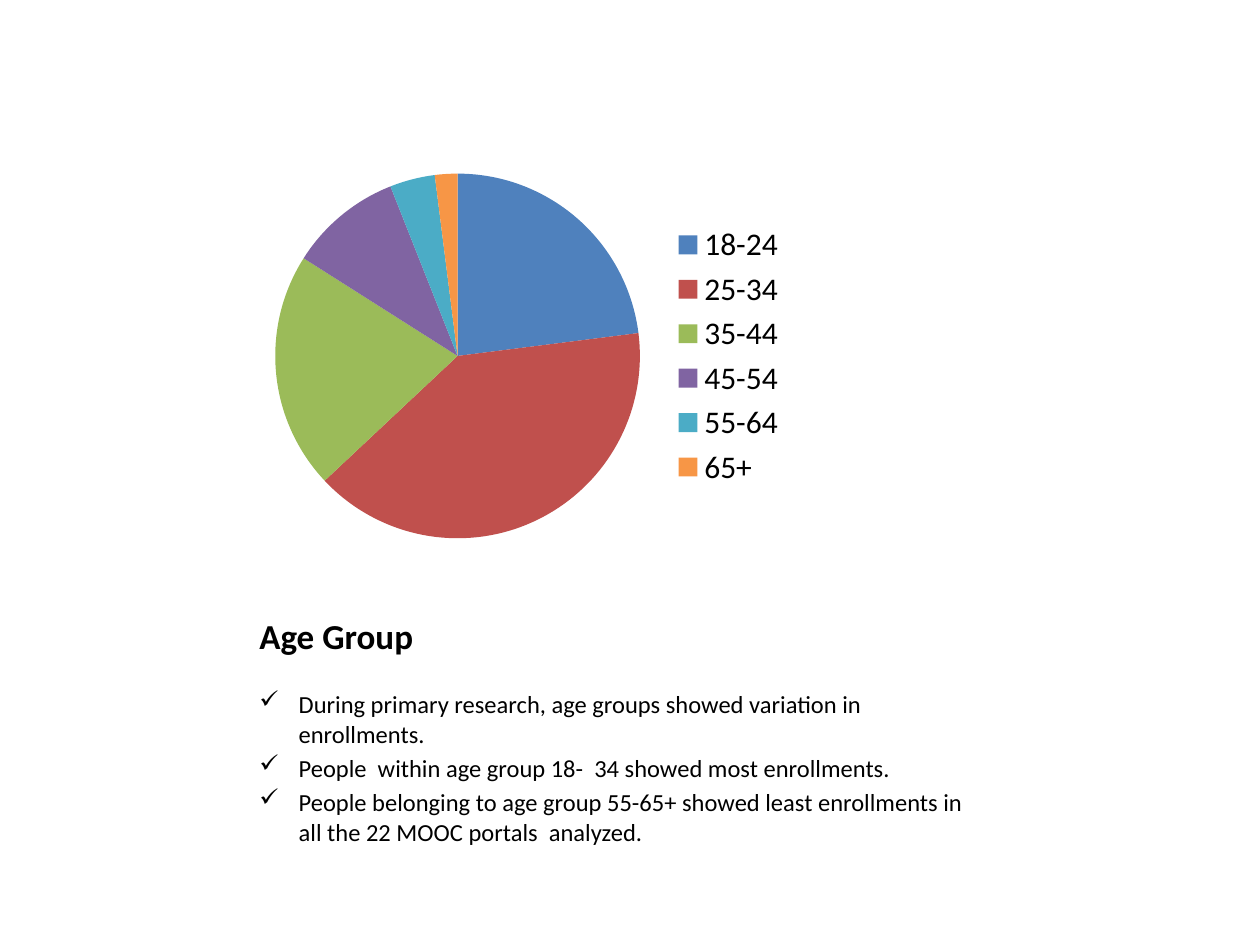
import pptx
import pptx.chart.data
import pptx.dml.color
import pptx.enum.chart
import pptx.enum.text
import pptx.oxml
import pptx.oxml.ns
import pptx.util
from collections import namedtuple
from dataclasses import dataclass

Pt = pptx.util.Pt
Box = namedtuple("Box", "left top width height")


@dataclass(frozen=True)
class Theme:
    font: str = "Calibri"
    text: str = "000000"
    background: str = "FFFFFF"
    slices: tuple = ("4F81BD", "C0504D", "9BBB59", "8064A2", "4BACC6", "F79646")
    title_size: int = 20
    body_size: int = 14
    legend_size: int = 18
    bullet_indent: float = 22.5


THEME = Theme()
AGE_SHARES = {"18-24": 23, "25-34": 40, "35-44": 21, "45-54": 10, "55-64": 4, "65+": 2}
FINDINGS = (
    "During primary research, age groups showed variation in enrollments.",
    "People  within age group 18-  34 showed most enrollments.",
    "People belonging to age group 55-65+ showed least enrollments in all the 22 MOOC portals  analyzed.",
)


def paint(fill, color):
    fill.solid()
    fill.fore_color.rgb = pptx.dml.color.RGBColor.from_string(color)


def style_font(font, size, bold=False):
    font.name = THEME.font
    font.size = Pt(size)
    font.bold = bold
    font.color.rgb = pptx.dml.color.RGBColor.from_string(THEME.text)


def add_text_frame(slide, box, anchor):
    frame = slide.shapes.add_textbox(*map(Pt, box)).text_frame
    frame.word_wrap = True
    frame.vertical_anchor = anchor
    return frame


def add_age_chart(slide, box):
    data = pptx.chart.data.CategoryChartData()
    data.categories = list(AGE_SHARES)
    data.add_series("Series 1", list(AGE_SHARES.values()))
    chart = slide.shapes.add_chart(
        pptx.enum.chart.XL_CHART_TYPE.PIE, *map(Pt, box), data
    ).chart
    style_font(chart.font, THEME.legend_size)
    chart.has_title = False
    chart.has_legend = True
    chart.legend.position = pptx.enum.chart.XL_LEGEND_POSITION.RIGHT
    chart.legend.include_in_layout = False
    plot = chart.plots[0]
    plot.vary_by_categories = True
    for index, color in enumerate(THEME.slices):
        paint(plot.series[0].points[index].format.fill, color)


def add_title(slide, box):
    frame = add_text_frame(slide, box, pptx.enum.text.MSO_ANCHOR.BOTTOM)
    paragraph = frame.paragraphs[0]
    paragraph.text = "Age Group"
    style_font(paragraph.font, THEME.title_size, bold=True)


def add_check_bullet(paragraph):
    properties = paragraph._p.get_or_add_pPr()
    properties.set("marL", str(Pt(THEME.bullet_indent)))
    properties.set("indent", str(-Pt(THEME.bullet_indent)))
    bullet = pptx.oxml.parse_xml(
        f'<a:buChar {pptx.oxml.ns.nsdecls("a")} char="\u2713"/>'
    )
    properties.insert_element_before(bullet, "a:tabLst", "a:defRPr", "a:extLst")


def add_findings(slide, box):
    frame = add_text_frame(slide, box, pptx.enum.text.MSO_ANCHOR.TOP)
    for index, finding in enumerate(FINDINGS):
        paragraph = frame.add_paragraph() if index else frame.paragraphs[0]
        paragraph.text = finding
        paragraph.space_before = Pt(0.2 * THEME.body_size)
        style_font(paragraph.font, THEME.body_size)
        add_check_bullet(paragraph)


def build_chart_slide(presentation, box):
    slide = presentation.slides.add_slide(presentation.slide_layouts[6])
    paint(slide.background.fill, THEME.background)
    add_age_chart(slide, Box(box.left, box.top, 315.36, 228.24))
    add_title(slide, Box(box.left, box.top + 241.2, box.width, 48.24))
    add_findings(slide, Box(box.left, box.top + 301, box.width, 95.76))


presentation = pptx.Presentation()
presentation.slide_width = Pt(720)
presentation.slide_height = Pt(540)
build_chart_slide(presentation, Box(141.12, 89.28, 432, 396.76))
presentation.save("out.pptx")
